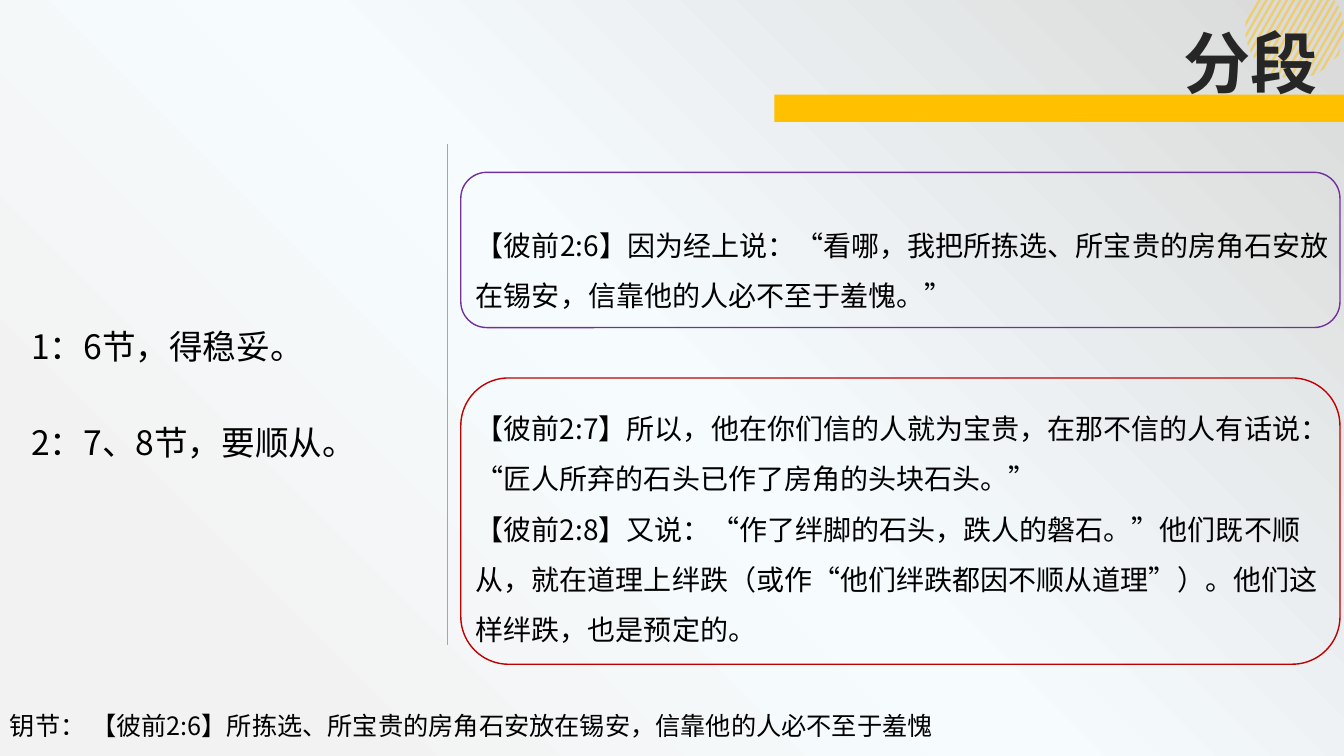
import math

import pptx
import pptx.dml.color
import pptx.enum.shapes
import pptx.enum.text
import pptx.oxml
import pptx.oxml.ns
import pptx.util
from lxml import etree
from pptx.util import Inches

FONT = "Noto Sans CJK SC"
COLORS = {
    "amber": "FFC000",
    "title": "262626",
    "text": "000000",
    "divider": "A6A6A6",
    "purple": "7030A0",
    "red": "C00000",
}
BACKDROP_STOPS = [(15, "F2F2F2"), (50, "F6FCFE"), (100, "D9D9D9")]
OUTLINE = ["1：6节，得稳妥。", "2：7、8节，要顺从。"]
VERSE_6 = ["【彼前2:6】因为经上说：“看哪，我把所拣选、所宝贵的房角石安放在锡安，信靠他的人必不至于羞愧。”"]
VERSES_7_8 = [
    "【彼前2:7】所以，他在你们信的人就为宝贵，在那不信的人有话说：“匠人所弃的石头已作了房角的头块石头。”",
    "【彼前2:8】又说：“作了绊脚的石头，跌人的磐石。”他们既不顺从，就在道理上绊跌"
    "（或作“他们绊跌都因不顺从道理”）。他们这样绊跌，也是预定的。",
]
KEY_VERSE = ["钥节： 【彼前2:6】所拣选、所宝贵的房角石安放在锡安，信靠他的人必不至于羞愧"]


def rgb(name):
    """Return the named palette colour."""
    return pptx.dml.color.RGBColor.from_string(COLORS[name])


def set_backdrop(slide):
    """Fill the background with a gradient spreading from the lower left."""
    stops = "".join(
        f'<a:gs pos="{pos * 1000}"><a:srgbClr val="{color}"/></a:gs>'
        for pos, color in BACKDROP_STOPS
    )
    backdrop = pptx.oxml.parse_xml(
        f'<p:bg {pptx.oxml.ns.nsdecls("p", "a")}><p:bgPr><a:gradFill>'
        f'<a:gsLst>{stops}</a:gsLst><a:path path="circle">'
        '<a:fillToRect t="100000" r="100000"/></a:path></a:gradFill>'
        "<a:effectLst/></p:bgPr></p:bg>"
    )
    slide.element.cSld.insert(0, backdrop)


def add_text(slide, box, paragraphs, size, color="text", bold=False,
             spacing=1.0, gap=0, inset=None, middle=False):
    """Add a wrapped text box with one run per paragraph."""
    frame = slide.shapes.add_textbox(*map(Inches, box)).text_frame
    frame.word_wrap = True
    if middle:
        frame.vertical_anchor = pptx.enum.text.MSO_ANCHOR.MIDDLE
    if inset is not None:
        frame.margin_left = frame.margin_right = Inches(inset)
        frame.margin_top = frame.margin_bottom = Inches(inset)
    for index, content in enumerate(paragraphs):
        paragraph = frame.add_paragraph() if index else frame.paragraphs[0]
        paragraph.line_spacing = spacing
        if index and gap:
            paragraph.space_before = pptx.util.Pt(gap)
        run = paragraph.add_run()
        run.text = content
        run.font.size = pptx.util.Pt(size)
        run.font.bold = bold
        run.font.name = FONT
        run.font.color.rgb = rgb(color)
        east_asian = etree.SubElement(run.font._element, pptx.oxml.ns.qn("a:ea"))
        east_asian.set("typeface", FONT)


def add_verse_frame(slide, box, color):
    """Add an unfilled rounded frame."""
    frame = slide.shapes.add_shape(
        pptx.enum.shapes.MSO_SHAPE.ROUNDED_RECTANGLE, *map(Inches, box))
    frame.shadow.inherit = False
    frame.fill.background()
    frame.line.color.rgb = rgb(color)
    frame.line.width = pptx.util.Pt(1)


def add_title_bar(slide):
    """Add the solid bar below the title."""
    bar = slide.shapes.add_shape(
        pptx.enum.shapes.MSO_SHAPE.RECTANGLE,
        Inches(7.68), Inches(0.94), Inches(5.65), Inches(0.27))
    bar.shadow.inherit = False
    bar.fill.solid()
    bar.fill.fore_color.rgb = rgb("amber")
    bar.line.fill.background()


def add_divider(slide):
    """Add the thin vertical line between outline and verses."""
    divider = slide.shapes.add_connector(
        pptx.enum.shapes.MSO_CONNECTOR.STRAIGHT,
        Inches(4.44), Inches(1.43), Inches(4.44), Inches(6.4))
    divider.line.color.rgb = rgb("divider")
    divider.line.width = pptx.util.Pt(0.5)
    etree.SubElement(divider._element.spPr, pptx.oxml.ns.qn("a:effectLst"))


def stripe_edge(top_x, center_x=12.84, center_y=0.29, radius=0.49):
    """Return the upper and lower ends of a slanted line within the disc."""
    slant = math.tan(math.radians(30))
    offset = top_x - center_x
    a = 1 + slant ** 2
    half_b = slant * offset + center_y
    root = math.sqrt(max(0, half_b ** 2 - a * (offset ** 2 + center_y ** 2 - radius ** 2)))
    heights = max(0, (half_b - root) / a), (half_b + root) / a
    return [(Inches(top_x - slant * y), Inches(y)) for y in heights]


def add_striped_disc(slide):
    """Add the translucent disc of slanted stripes in the corner."""
    disc = slide.shapes.add_group_shape()
    for index in range(17):
        left_x = 12.48 + 0.068 * index
        left_top, left_bottom = stripe_edge(left_x)
        right_top, right_bottom = stripe_edge(left_x + 0.026)
        outline = disc.shapes.build_freeform(*left_top)
        outline.add_line_segments([right_top, right_bottom, left_bottom], close=True)
        stripe = outline.convert_to_shape()
        stripe.shadow.inherit = False
        stripe.fill.solid()
        stripe.fill.fore_color.rgb = rgb("amber")
        stripe.line.fill.background()
        color = stripe._element.spPr.find(".//" + pptx.oxml.ns.qn("a:srgbClr"))
        etree.SubElement(color, pptx.oxml.ns.qn("a:alpha")).set("val", "50000")


def main():
    """Build and save the slide."""
    deck = pptx.Presentation()
    deck.slide_width = Inches(13.33)
    deck.slide_height = Inches(7.5)
    slide = deck.slides.add_slide(deck.slide_layouts[6])
    set_backdrop(slide)
    add_striped_disc(slide)
    add_title_bar(slide)
    add_text(slide, (11.64, 0.16, 1.69, 0.91), ["分段"], 48, color="title", bold=True)
    add_text(slide, (0.21, 3.1, 4.45, 1.53), OUTLINE, 24, spacing=1.2, gap=34)
    add_divider(slide)
    add_verse_frame(slide, (4.57, 1.71, 8.72, 1.54), "purple")
    add_text(slide, (4.65, 2.03, 8.68, 1.14), VERSE_6, 20,
             spacing=1.5, inset=0.07, middle=True)
    add_verse_frame(slide, (4.57, 3.75, 8.72, 2.84), "red")
    add_text(slide, (4.62, 4.6, 8.63, 1.13), VERSES_7_8, 20,
             spacing=1.5, inset=0.1, middle=True)
    add_text(slide, (0, 7, 13.24, 0.4), KEY_VERSE, 18)
    deck.save("out.pptx")


if __name__ == "__main__":
    main()
